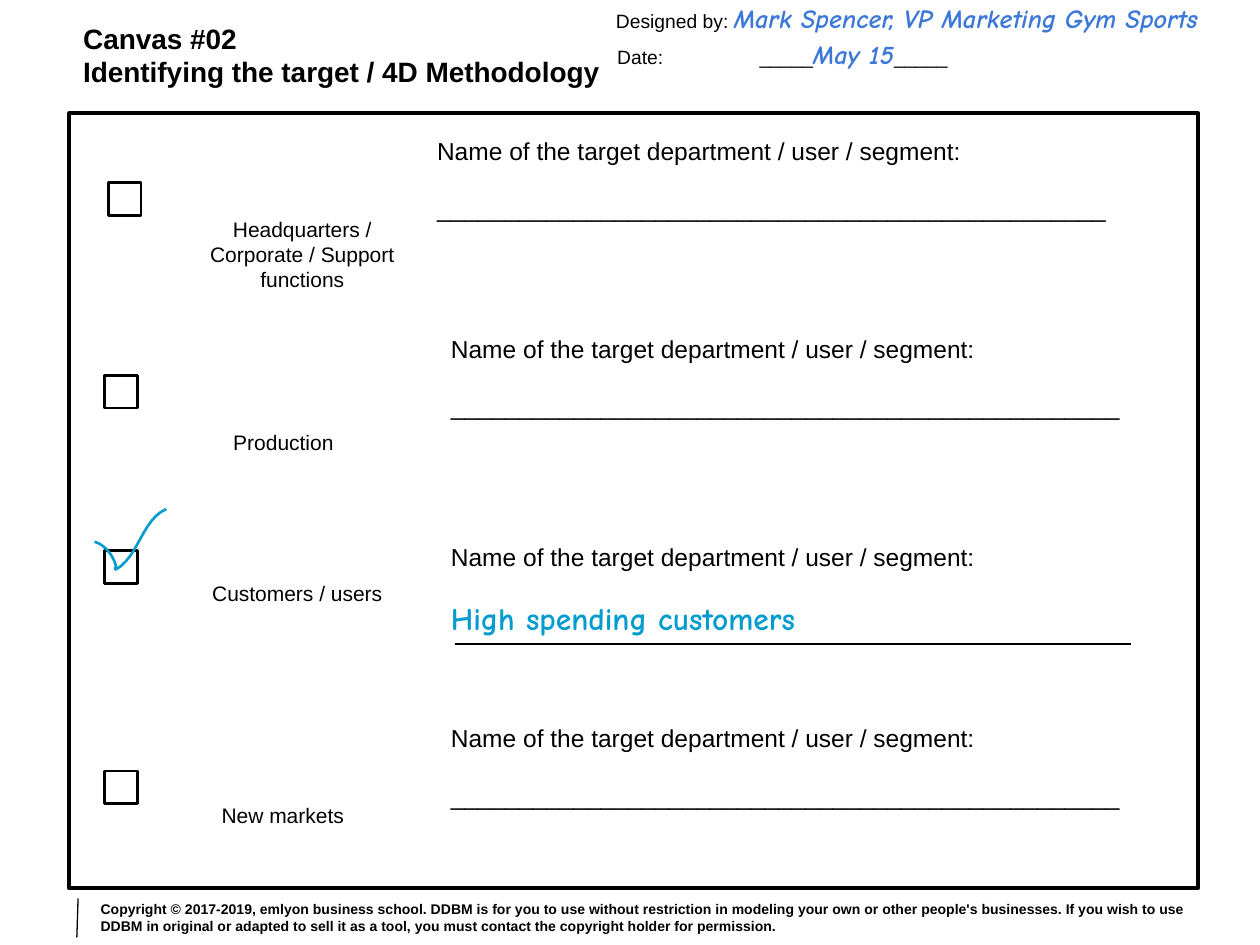
import pptx
import pptx.util
import pptx.dml.color
import pptx.enum.shapes
import pptx.enum.text
import pptx.oxml
import pptx.oxml.ns

Inches, Pt = pptx.util.Inches, pptx.util.Pt
ALIGN = pptx.enum.text.PP_ALIGN
ANCHOR = pptx.enum.text.MSO_ANCHOR
RECT = pptx.enum.shapes.MSO_SHAPE.RECTANGLE
LINE = pptx.enum.shapes.MSO_CONNECTOR.STRAIGHT
COLORS = {"ink": "000000", "pen": "3C78D8", "mark": "049CCF"}

# Content: text styles are (size, font, colour, bold, italic)
HEAD = (16, "Arial", "ink", True, False)
NAME = (12, "Arial", "ink", False, False)
ASK = (14, "Arial", "ink", False, False)
NOTE = (18, "Comic Neue", "mark", True, False)
FORM = (11, "Arial", "ink", False, False)
HAND = (15, "Comic Neue", "pen", True, True)
LEGAL = (8, "Arial", "ink", True, False)

TITLE = ["Canvas #02", "Identifying the target / 4D Methodology"]
PROMPT = "Name of the target department / user / segment:"
BLANK = ("_" * 49, ASK)
# Label, its box and anchor, checkbox corner, prompt corner, answer
ROWS = [
    ("Headquarters / Corporate / Support functions", (1.32, 1.76, 2.16, 0.51),
     ANCHOR.MIDDLE, (0.86, 1.45), (3.37, 0.98), BLANK),
    ("Production", (1.17, 3.25, 2.16, 0.51),
     ANCHOR.MIDDLE, (0.83, 2.98), (3.48, 2.55), BLANK),
    ("Customers / users", (1.52, 4.51, 1.68, 0.45),
     ANCHOR.TOP, (0.83, 4.37), (3.48, 4.2), ("High spending customers", NOTE)),
    ("New markets", (1.43, 6.27, 1.63, 0.45),
     ANCHOR.TOP, (0.83, 6.12), (3.48, 5.64), BLANK),
]
RULES = [((3.61, 5.11), (8.98, 5.11), 1.5), ((0.62, 7.13), (0.61, 7.44), 0.75)]
TICK = [
    [(0.75, 4.3), (0.83, 4.32), (0.9, 4.41), (0.92, 4.49)],
    [(0.92, 4.49), (0.92, 4.5), (0.91, 4.52), (0.92, 4.52)],
    [(0.92, 4.52), (1.1, 4.42), (1.13, 4.12), (1.32, 4.04)],
]
COPYRIGHT = (
    "Copyright © 2017-2019, emlyon business school. DDBM is for you to use "
    "without restriction in modeling your own or other people's businesses. "
    "If you wish to use DDBM in original or adapted to sell it as a tool, "
    "you must contact the copyright holder for permission.")
AUTHOR = [("Designed by: ", FORM), ("Mark Spencer, VP Marketing Gym Sports", HAND)]
DATE = [("Date:\t_____", FORM), ("May 15", HAND), ("_____", FORM)]

deck = pptx.Presentation()
deck.slide_width, deck.slide_height = Inches(10), Inches(7.5)
slide = deck.slides.add_slide(deck.slide_layouts[5])
shapes = slide.shapes


def tint(name):
    return pptx.dml.color.RGBColor.from_string(COLORS[name])


def write(shape, paras, align=ALIGN.LEFT, anchor=ANCHOR.TOP, gap=0, tab=None):
    """Fill a shape with paragraphs, each a list of (text, style) runs."""
    frame = shape.text_frame
    frame.word_wrap = True
    frame.auto_size = pptx.enum.text.MSO_AUTO_SIZE.NONE
    frame.vertical_anchor = anchor
    frame.margin_left = frame.margin_right = Inches(0.1)
    frame.margin_top = frame.margin_bottom = Inches(0.1)
    for i, runs in enumerate(paras):
        para = frame.add_paragraph() if i else frame.paragraphs[0]
        para.alignment = align
        if i and gap:
            para.space_before = Pt(gap)
        if tab:
            stops = pptx.oxml.ns.qn("a:tabLst")
            stops = para._p.get_or_add_pPr().makeelement(stops, {})
            para._p.pPr.append(stops)
            stop = stops.makeelement(pptx.oxml.ns.qn("a:tab"),
                                     {"pos": str(Inches(tab)), "algn": "l"})
            stops.append(stop)
        for text, (size, face, color, bold, slant) in runs:
            run = para.add_run()
            run.text = text
            font = run.font
            font.size, font.name = Pt(size), face
            font.bold, font.italic = bold, slant
            font.color.rgb = tint(color)


def label(box, paras, **opts):
    write(shapes.add_textbox(*map(Inches, box)), paras, **opts)


def ink(shape, width, color="ink"):
    shape.line.color.rgb = tint(color)
    shape.line.width = Pt(width)


def hollow(shape, width, color="ink"):
    shape.shadow.inherit = False
    shape.fill.background()
    ink(shape, width, color)


def curve(p, t):
    """Point on a cubic curve with control points p."""
    u = 1 - t
    parts = (u ** 3, 3 * u * u * t, 3 * u * t * t, t ** 3)
    return tuple(Inches(sum(w * q[k] for w, q in zip(parts, p))) for k in (0, 1))


# Title and outer frame
title = shapes.title
title.left, title.top, title.width, title.height = map(Inches, (0.56, 0.07, 4.66, 0.58))
write(title, [[(line, HEAD)] for line in TITLE])
hollow(shapes.add_shape(RECT, *map(Inches, (0.55, 0.9, 8.96, 6.15))), 2.25)

# Target rows
for name, box, anchor, check, ask, answer in ROWS:
    label(box, [[(name, NAME)]], align=ALIGN.CENTER, anchor=anchor)
    label((*ask, 6.02, 1.21), [[(PROMPT, ASK)], [answer]], gap=16)
    hollow(shapes.add_shape(RECT, *map(Inches, (*check, 0.26, 0.26))), 1.5)

# Answer line and footer bar
for start, end, width in RULES:
    rule = shapes.add_connector(LINE, *map(Inches, start + end))
    ink(rule, width)
    rule._element.spPr.append(pptx.oxml.parse_xml(
        "<a:effectLst %s/>" % pptx.oxml.ns.nsdecls("a")))

# Tick mark
STEPS = 12
dots = [curve(part, i / STEPS) for part in TICK for i in range(1, STEPS + 1)]
pen = shapes.build_freeform(*curve(TICK[0], 0))
pen.add_line_segments(dots, close=False)
hollow(pen.convert_to_shape(), 1.5, "mark")

# Footer and header form
label((0.7, 7.13, 8.96, 0.3), [[(COPYRIGHT, LEGAL)]], anchor=ANCHOR.MIDDLE)
label((4.79, -0.08, 5.2, 0.45), [AUTHOR])
label((4.8, 0.2, 4.64, 0.45), [DATE], tab=1.13)

deck.save("out.pptx")
